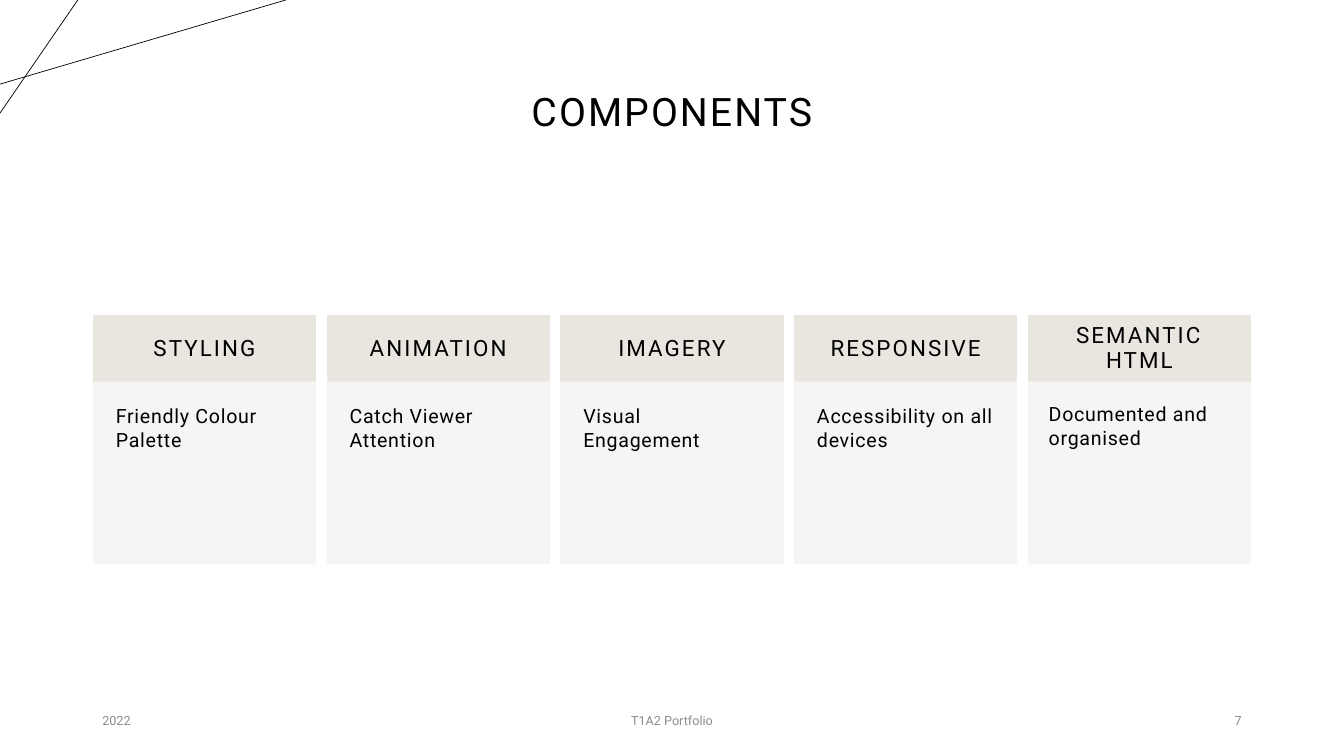
from dataclasses import dataclass

from lxml import etree
from pptx import Presentation
from pptx import util as u
from pptx.dml.color import RGBColor
from pptx.enum import shapes, text
from pptx.oxml.ns import qn

TITLE = "COMPONENTS"
# heading, description, inner margin of the description in cm
COMPONENTS = [
    ("STYLING", "Friendly Colour Palette", 0.56),
    ("ANIMATION", "Catch Viewer Attention", 0.56),
    ("IMAGERY", "Visual Engagement", 0.56),
    ("RESPONSIVE", "Accessibility on all devices", 0.56),
    ("SEMANTIC HTML", "Documented and organised", 0.51),
]
# text, left, width in cm, alignment
FOOTERS = [
    ("2022", 2.33, 7.62, text.PP_ALIGN.LEFT),
    ("T1A2 Portfolio", 11.22, 11.43, text.PP_ALIGN.CENTER),
    ("7", 23.92, 7.62, text.PP_ALIGN.RIGHT),
]
# x and y of both ends in cm
CORNER_LINES = [(0, 2.12, 7.2, 0), (1.96, 0, 0, 2.85)]

CARD_LEFT, CARD_TOP, CARD_WIDTH, CARD_STEP = 2.36, 7.95, 5.59, 5.89
HEADING_HEIGHT, BODY_HEIGHT = 1.68, 4.57


@dataclass(frozen=True)
class Theme:
    font: str = "Roboto"
    ink: str = "000000"
    muted: str = "8C8C8C"
    heading_fill: str = "E9E6DF"
    body_fill: str = "F7F5F3"
    body_opacity: int = 90
    title_size: float = 28
    heading_size: float = 16
    body_size: float = 14
    footer_size: float = 9


THEME = Theme()


def write(box, words, size, color, align, anchor=text.MSO_ANCHOR.MIDDLE,
          tracking=0, leading=1.0, margin=None):
    """Fill a box with one paragraph; tracking is in points, margin in cm."""
    frame = box.text_frame
    frame.text = words
    frame.word_wrap = True
    frame.vertical_anchor = anchor
    if margin is not None:
        frame.margin_left = frame.margin_right = u.Cm(margin)
        frame.margin_top = frame.margin_bottom = u.Cm(margin)
    para = frame.paragraphs[0]
    para.alignment = align
    para.line_spacing = leading
    span = para.runs[0]
    span.font.name = THEME.font
    span.font.size = u.Pt(size)
    span.font.color.rgb = RGBColor.from_string(color)
    if tracking:
        span.font._element.set("spc", str(int(tracking * 100)))


def add_text(page, left, top, width, height, *args, **style):
    box = page.shapes.add_textbox(u.Cm(left), u.Cm(top), u.Cm(width), u.Cm(height))
    write(box, *args, **style)


def add_panel(page, left, top, height, color, opacity=100):
    panel = page.shapes.add_shape(
        shapes.MSO_SHAPE.RECTANGLE,
        u.Cm(left), u.Cm(top), u.Cm(CARD_WIDTH), u.Cm(height))
    panel.shadow.inherit = False
    panel.fill.solid()
    panel.line.width = u.Pt(1)
    for paint in (panel.fill.fore_color, panel.line.color):
        paint.rgb = RGBColor.from_string(color)
    if opacity < 100:
        for tint in panel._element.spPr.iter(qn("a:srgbClr")):
            etree.SubElement(tint, qn("a:alpha")).set("val", str(opacity * 1000))
    return panel


def add_corner_line(page, *ends):
    line = page.shapes.add_connector(
        shapes.MSO_CONNECTOR.STRAIGHT, *(u.Cm(end) for end in ends))
    line.line.width = u.Pt(0.5)
    line.line.color.rgb = RGBColor.from_string(THEME.ink)
    etree.SubElement(line._element.spPr, qn("a:effectLst"))


def add_card(page, left, heading, description, margin):
    head = add_panel(page, left, CARD_TOP, HEADING_HEIGHT, THEME.heading_fill)
    write(head, heading, THEME.heading_size, THEME.ink, text.PP_ALIGN.CENTER,
          tracking=1.5, leading=0.9, margin=0.43)
    body = add_panel(page, left, CARD_TOP + HEADING_HEIGHT, BODY_HEIGHT,
                     THEME.body_fill, THEME.body_opacity)
    write(body, description, THEME.body_size, THEME.ink, text.PP_ALIGN.LEFT,
          anchor=text.MSO_ANCHOR.TOP, tracking=0.5, margin=margin)


def main():
    deck = Presentation()
    deck.slide_width, deck.slide_height = u.Cm(33.87), u.Cm(19.05)
    page = deck.slides.add_slide(deck.slide_layouts[6])

    for ends in CORNER_LINES:
        add_corner_line(page, *ends)
    add_text(page, 2.33, 1.02, 29.21, 3.68, TITLE, THEME.title_size, THEME.ink,
             text.PP_ALIGN.CENTER, tracking=1.5, leading=0.9)
    for column, component in enumerate(COMPONENTS):
        add_card(page, CARD_LEFT + column * CARD_STEP, *component)
    for words, left, width, align in FOOTERS:
        add_text(page, left, 17.65, width, 1.02, words, THEME.footer_size,
                 THEME.muted, align)

    deck.save("out.pptx")


if __name__ == "__main__":
    main()
